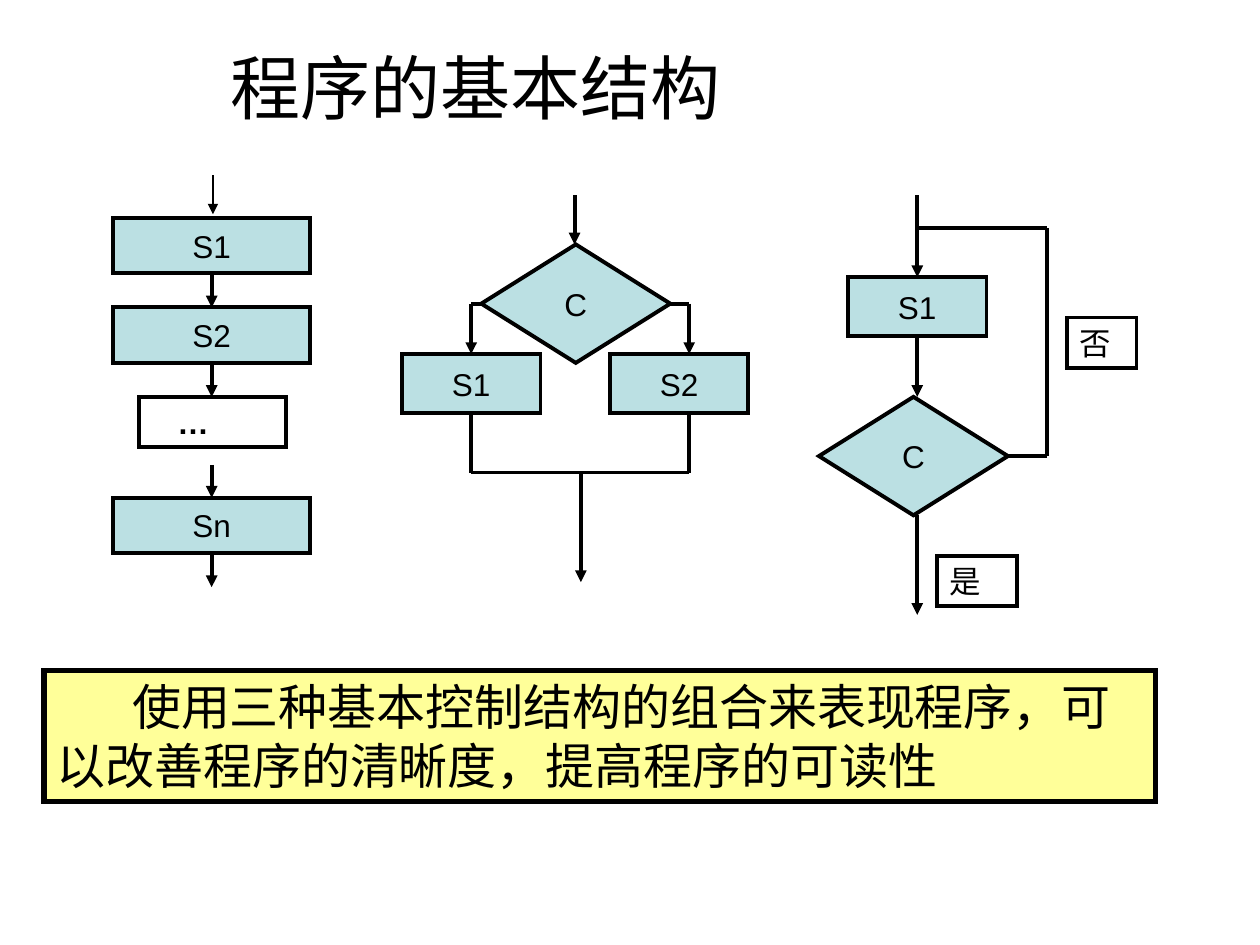
import itertools
import pptx
import pptx.dml.color
import pptx.enum.shapes
import pptx.enum.text
import pptx.oxml
import pptx.oxml.ns
import pptx.util

Inches, Pt = pptx.util.Inches, pptx.util.Pt
KIND = pptx.enum.shapes.MSO_SHAPE
ALIGN = pptx.enum.text.PP_ALIGN
ANCHOR = pptx.enum.text.MSO_ANCHOR

THEME = {
    "font": "Arial", "asian": "Noto Sans CJK SC",
    "ink": "000000", "node": "BBE0E3", "panel": "FFFF99",
    "title": 40, "body": 28, "label": 18,
    "thin": 1.5, "line": 2.25, "thick": 3,
}

TITLE = "程序的基本结构"
BODY = "使用三种基本控制结构的组合来表现程序，可以改善程序的清晰度，提高程序的可读性"

# Node sizes by kind: preset, width, height
NODES = {
    "step": (KIND.RECTANGLE, 1.56, 0.44),
    "task": (KIND.FLOWCHART_PROCESS, 1.1, 0.47),
    "test": (KIND.FLOWCHART_DECISION, 1.5, 0.94),
}

# nodes: kind, text, left, top
# notes: text, left, top, width, height, indent, bold
# paths and arrows: points in order; an arrow has its head at the last point
SEQ_X, DROP = 1.68, 0.26
CHARTS = [
    {   # sequence
        "nodes": [("step", "S1", 0.9, 1.73), ("step", "S2", 0.9, 2.44),
                  ("step", "Sn", 0.9, 3.95)],
        "notes": [("…", 1.1, 3.15, 1.17, 0.4, 0.21, True)],
        "paths": [],
        "arrows": [[(SEQ_X, y), (SEQ_X, y + DROP)]
                   for y in (2.18, 2.89, 3.69, 4.4)],
        "entry": [(1.69, 1.39), (1.69, 1.7)],
    },
    {   # loop
        "nodes": [("task", "S1", 6.73, 2.2), ("test", "C", 6.5, 3.15)],
        "notes": [("否", 8.47, 2.52, 0.55, 0.4, 0, False),
                  ("是", 7.44, 4.41, 0.63, 0.4, 0, False)],
        "paths": [[(7.99, 3.62), (8.31, 3.62), (8.31, 1.81), (7.28, 1.81)]],
        "arrows": [[(7.28, 1.55), (7.28, 2.2)], [(7.28, 2.68), (7.28, 3.15)],
                   [(7.28, 4.09), (7.28, 4.88)]],
    },
    {   # choice
        "nodes": [("task", "S1", 3.19, 2.81), ("task", "S2", 4.84, 2.81),
                  ("test", "C", 3.82, 1.94)],
        "notes": [],
        "paths": [[(3.74, 3.28), (3.74, 3.75), (5.47, 3.75), (5.47, 3.28)]],
        "arrows": [[(4.56, 1.55), (4.56, 1.94)],
                   [(4.45, 2.41), (3.74, 2.41), (3.74, 2.81)],
                   [(4.68, 2.41), (5.47, 2.41), (5.47, 2.81)],
                   [(4.61, 3.75), (4.61, 4.62)]],
    },
]


def color(name):
    return pptx.dml.color.RGBColor.from_string(THEME[name])


def put(item, values):
    for key, value in values.items():
        setattr(item, key, value)


def write(shape, text, size, align, anchor, wrap=True, indent=0, bold=False):
    frame = shape.text_frame
    put(frame, {"word_wrap": wrap, "vertical_anchor": anchor,
                "margin_left": Inches(0.1), "margin_right": Inches(0.1),
                "margin_top": Inches(0.05), "margin_bottom": Inches(0.05)})
    para = frame.paragraphs[0]
    para.alignment = align
    props = para._p.get_or_add_pPr()
    props.set("marL", "0")
    props.set("indent", str(Inches(indent)))
    run = para.add_run()
    run.text = text
    put(run.font, {"name": THEME["font"], "size": Pt(THEME[size]), "bold": bold})
    run.font.color.rgb = color("ink")
    asian = pptx.oxml.parse_xml(
        f'<a:ea {pptx.oxml.ns.nsdecls("a")} typeface="{THEME["asian"]}"/>')
    run.font._element.find(pptx.oxml.ns.qn("a:latin")).addnext(asian)


def stroke(shape, width):
    """Draw the line in ink, with square corners."""
    shape.line.width = Pt(THEME[width])
    shape.line.color.rgb = color("ink")
    edge = shape.line._get_or_add_ln()
    edge.append(edge.makeelement(pptx.oxml.ns.qn("a:miter"), {"lim": "800000"}))


def box(shapes, kind, area, fill=None, width="line"):
    shape = shapes.add_shape(kind, *map(Inches, area))
    shape.shadow.inherit = False
    if fill:
        shape.fill.solid()
        shape.fill.fore_color.rgb = color(fill)
    else:
        shape.fill.background()
    stroke(shape, width)
    return shape


def trace(shapes, points, head=False, width="line"):
    """Join the points with straight lines, with a head on the last if asked."""
    for start, end in itertools.pairwise(points):
        line = shapes.add_connector(pptx.enum.shapes.MSO_CONNECTOR.STRAIGHT,
                                    *map(Inches, start + end))
        stroke(line, width)
        props = line._element.spPr
        props.append(props.makeelement(pptx.oxml.ns.qn("a:effectLst"), {}))
    if head:
        edge = line.line._get_or_add_ln()
        edge.append(edge.makeelement(pptx.oxml.ns.qn("a:tailEnd"),
                                     {"type": "triangle"}))


def draw(shapes, chart):
    """Lay the lines first, so that the nodes cover their inner ends."""
    for points in chart["paths"]:
        trace(shapes, points)
    for points in chart["arrows"]:
        trace(shapes, points, head=True)
    if "entry" in chart:
        trace(shapes, chart["entry"], head=True, width="thin")
    for kind, text, left, top in chart["nodes"]:
        preset, wide, high = NODES[kind]
        node = box(shapes, preset, (left, top, wide, high), "node")
        write(node, text, "label", ALIGN.CENTER, ANCHOR.MIDDLE, wrap=False)
    for text, left, top, wide, high, indent, bold in chart["notes"]:
        note = box(shapes, KIND.RECTANGLE, (left, top, wide, high))
        write(note, text, "label", ALIGN.LEFT, ANCHOR.TOP,
              indent=indent, bold=bold)


def main():
    deck = pptx.Presentation()
    put(deck, {"slide_width": Inches(10), "slide_height": Inches(7.5)})
    slide = deck.slides.add_slide(deck.slide_layouts.get_by_name("Title Only"))

    title = slide.shapes.title
    put(title, {"left": Inches(-0.35), "top": Inches(0.28),
                "width": Inches(8.25), "height": Inches(0.79)})
    write(title, TITLE, "title", ALIGN.CENTER, ANCHOR.BOTTOM)

    panel = box(slide.shapes, KIND.RECTANGLE, (0.35, 5.32, 8.82, 1.04),
                "panel", "thick")
    write(panel, BODY, "body", ALIGN.LEFT, ANCHOR.TOP, indent=0.6)

    for chart in CHARTS:
        draw(slide.shapes.add_group_shape().shapes, chart)
    deck.save("out.pptx")


if __name__ == "__main__":
    main()
